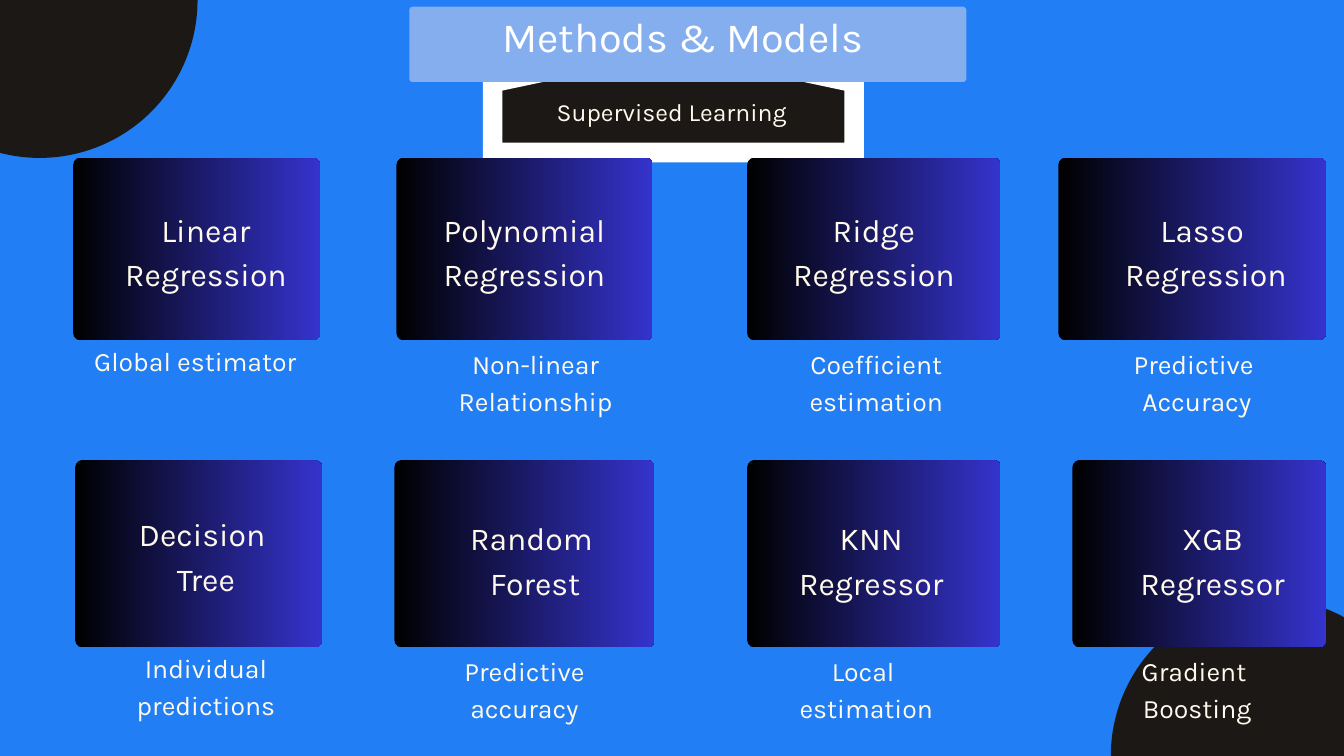
from lxml import etree
from pptx import Presentation
from pptx.dml.color import RGBColor
from pptx.enum.shapes import MSO_SHAPE
from pptx.enum.text import MSO_ANCHOR, MSO_AUTO_SIZE, PP_ALIGN
from pptx.oxml.ns import qn
from pptx.util import Pt

PX = 9144
OVAL = MSO_SHAPE.OVAL
ROUNDED = MSO_SHAPE.ROUNDED_RECTANGLE
MIDDLE = MSO_ANCHOR.MIDDLE
FIT_SHAPE = MSO_AUTO_SIZE.SHAPE_TO_FIT_TEXT
NO_FIT = MSO_AUTO_SIZE.NONE
CENTER = PP_ALIGN.CENTER

FONT = "Karla"
BLUE, DARK, CREAM, WHITE = "217EF4", "1C1816", "FFFAEB", "FFFFFF"
BANNER, BLACK, INDIGO = "84AEEE", "000000", "3533CD"

ROWS = [
    (235, 271, [
        ((109, 367), "Linear\nRegression", (165, 303),
         "Global estimator", (132, 506, 317)),
        ((590, 381), "Polynomial Regression", (639, 303),
         "Non-linear Relationship", (612, 510, 370)),
        ((1112, 377), "Ridge\nRegression", (1159, 303),
         "Coefficient estimation", (1119, 510, 370)),
        ((1575, 398), "Lasso \nRegression", (1653, 303),
         "Predictive \nAccuracy", (1596, 510, 370)),
    ]),
    (685, 278, [
        ((112, 367), "Decision \nTree", (165, 756),
         "Individual predictions", (148, 962, 317)),
        ((587, 387), "Random \nForest", (655, 762),
         "Predictive accuracy", (622, 966, 317)),
        ((1112, 377), "KNN\nRegressor", (1155, 762),
         "Local\n estimation", (1126, 966, 317)),
        ((1596, 377), "XGB\nRegressor", (1663, 762),
         "Gradient \nBoosting", (1623, 966, 317)),
    ]),
]


def px(*lengths):
    return [length * PX for length in lengths]


def rgb(value):
    return RGBColor.from_string(value)


def paint(shape, color):
    shape.shadow.inherit = False
    shape.fill.solid()
    shape.fill.fore_color.rgb = rgb(color)
    shape.line.fill.background()


def add_circle(slide, left, top, diameter):
    circle = slide.shapes.add_shape(OVAL, *px(left, top, diameter, diameter))
    paint(circle, DARK)


def add_rounded(slide, left, top, width, height, radius, color):
    shape = slide.shapes.add_shape(ROUNDED, *px(left, top, width, height))
    shape.adjustments[0] = radius / min(width, height)
    paint(shape, color)
    return shape


def add_house(slide):
    builder = slide.shapes.build_freeform(733, 227, scale=PX)
    builder.add_line_segments([(733, 123), (1002, 66), (1271, 123), (1271, 227)])
    house = builder.convert_to_shape()
    paint(house, DARK)
    house.line.color.rgb = rgb(WHITE)
    house.line.width = Pt(21)
    outline = house.element.spPr.find(qn("a:ln"))
    etree.SubElement(outline, qn("a:miter"), lim="800000")


def write(frame, text, size, spacing, color, inset=0):
    frame.text = text
    frame.word_wrap = True
    frame.margin_left = frame.margin_right = inset * PX
    frame.margin_top = frame.margin_bottom = inset * PX
    for paragraph in frame.paragraphs:
        paragraph.alignment = CENTER
        paragraph.line_spacing = Pt(spacing)
        paragraph.font.name = FONT
        paragraph.font.size = Pt(size)
        paragraph.font.color.rgb = rgb(color)


def add_text(slide, left, top, width, height, text, size, spacing):
    box = slide.shapes.add_textbox(*px(left, top, width, height))
    write(box.text_frame, text, size, spacing, CREAM)
    box.text_frame.auto_size = FIT_SHAPE


def add_title(slide, text):
    banner = add_rounded(slide, 609, 10, 829, 112, 5, BANNER)
    title = slide.shapes.title
    title.left, title.top, title.width, title.height = px(609, -26, 829, 148)
    write(title.text_frame, text, 44.5, 62.2, WHITE, inset=6)
    title.text_frame.vertical_anchor = MIDDLE
    title.text_frame.auto_size = NO_FIT
    banner.element.addnext(title.element)


def add_card(slide, left, top, width, height):
    card = add_rounded(slide, left, top, width, height, 10, BLACK)
    card.fill.gradient()
    card.fill.gradient_angle = 0
    for stop, position, color in zip(card.fill.gradient_stops, (0, 1), (BLACK, INDIGO)):
        stop.position = position
        stop.color.rgb = rgb(color)


def add_model(slide, top, height, model):
    (left, width), name, name_place, caption, caption_place = model
    add_card(slide, left, top, width, height)
    add_text(slide, *name_place, 283, 128, name, 34.2, 48)
    add_text(slide, *caption_place, 108, caption, 28.5, 39.9)


def main():
    presentation = Presentation()
    presentation.slide_width, presentation.slide_height = px(2000, 1125)
    slide = presentation.slides.add_slide(presentation.slide_layouts[5])
    slide.background.fill.solid()
    slide.background.fill.fore_color.rgb = rgb(BLUE)

    add_house(slide)
    add_circle(slide, 1653, 890, 470)
    add_circle(slide, -176, -235, 470)
    add_text(slide, 777, 137, 445, 49, "Supervised Learning", 26.5, 37.1)
    add_title(slide, "Methods & Models ")
    for top, height, models in ROWS:
        for model in models:
            add_model(slide, top, height, model)

    presentation.save("out.pptx")


if __name__ == "__main__":
    main()
